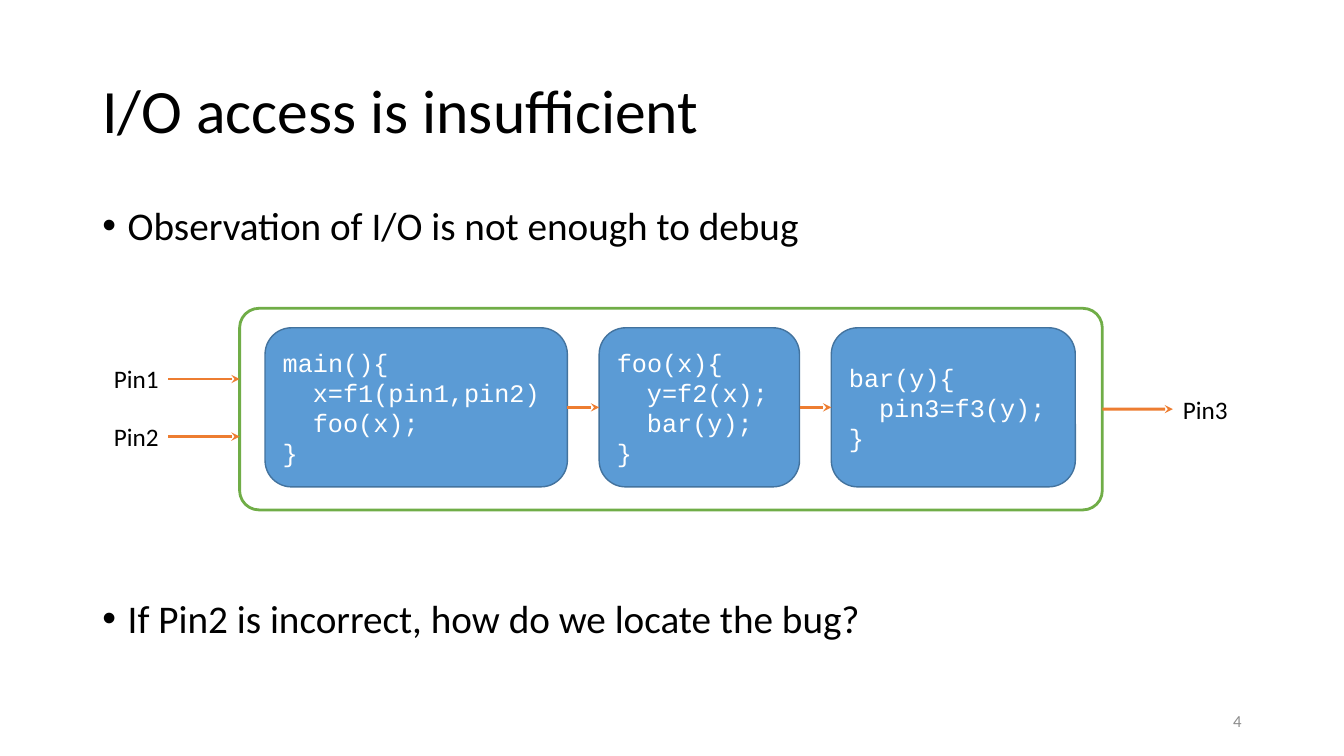
"""Build the slide showing why I/O access alone is insufficient for debugging."""
import dataclasses

import lxml.etree
import pptx
import pptx.dml.color
import pptx.enum.shapes
import pptx.enum.text
import pptx.oxml.ns
import pptx.util

Cm, Pt = pptx.util.Cm, pptx.util.Pt
RGB = pptx.dml.color.RGBColor.from_string
ALIGN = pptx.enum.text.PP_ALIGN
ANCHOR = pptx.enum.text.MSO_ANCHOR
ROUNDED = pptx.enum.shapes.MSO_SHAPE.ROUNDED_RECTANGLE
STRAIGHT = pptx.enum.shapes.MSO_CONNECTOR.STRAIGHT


@dataclasses.dataclass(frozen=True)
class Theme:
    ink: str = "000000"
    muted: str = "8C8C8C"
    code_ink: str = "FFFFFF"
    block: str = "5B9BD5"
    block_edge: str = "43739E"
    device_edge: str = "70AD47"
    signal: str = "ED7D31"
    body_font: str = "Calibri"
    code_font: str = "Courier New"
    title_size: int = 44
    bullet_size: int = 28
    label_size: int = 18
    number_size: int = 12


theme = Theme()


def write(shape, lines, size=theme.label_size, color=theme.ink, font=theme.body_font,
          align=ALIGN.LEFT, anchor=ANCHOR.MIDDLE, spacing=1.0, before=(), bullet=False, code=False):
    frame = shape.text_frame
    frame.word_wrap = True
    frame.vertical_anchor = anchor
    for index, line in enumerate(lines):
        paragraph = frame.paragraphs[0] if index == 0 else frame.add_paragraph()
        paragraph.alignment = align
        paragraph.line_spacing = spacing
        if before:
            paragraph.space_before = Pt(before[index])
        properties = paragraph._p.get_or_add_pPr()
        if bullet:
            properties.set("marL", str(Cm(0.64)))
            properties.set("indent", str(-Cm(0.64)))
            lxml.etree.SubElement(properties, pptx.oxml.ns.qn("a:buFont"), typeface="Arial")
            lxml.etree.SubElement(properties, pptx.oxml.ns.qn("a:buChar"), char="•")
        if code and 0 < index < len(lines) - 1:
            properties.set("marL", str(Cm(0.76)))
        run = paragraph.add_run()
        run.text = line
        run.font.size = Pt(size)
        run.font.name = font
        run.font.color.rgb = RGB(color)


def draw_arrow(start, end, source=None, target=None):
    arrow = slide.shapes.add_connector(STRAIGHT, *map(Cm, start + end))
    if source is not None:
        arrow.begin_connect(source, 3)
    if target is not None:
        arrow.end_connect(target, 1)
    arrow.line.color.rgb = RGB(theme.signal)
    arrow.line.width = Pt(2)
    lxml.etree.SubElement(arrow.line._get_or_add_ln(), pptx.oxml.ns.qn("a:tailEnd"), type="stealth")
    lxml.etree.SubElement(arrow._element.spPr, pptx.oxml.ns.qn("a:effectLst"))


presentation = pptx.Presentation()
presentation.slide_width = Cm(33.87)
presentation.slide_height = Cm(19.05)
slide = presentation.slides.add_slide(presentation.slide_layouts[6])

title = slide.shapes.add_textbox(Cm(2.33), Cm(1.02), Cm(29.21), Cm(3.68))
write(title, ["I/O access is insufficient"], size=theme.title_size, spacing=0.9)

points = slide.shapes.add_textbox(Cm(2.33), Cm(5.08), Cm(29.21), Cm(12.09))
write(points,
      ["Observation of I/O is not enough to debug", "If Pin2 is incorrect, how do we locate the bug?"],
      size=theme.bullet_size, anchor=ANCHOR.TOP, spacing=0.9, before=(10, 250.5), bullet=True)

page_number = slide.shapes.add_textbox(Cm(23.92), Cm(17.65), Cm(7.62), Cm(1.02))
write(page_number, ["4"], size=theme.number_size, color=theme.muted, align=ALIGN.RIGHT)

device_left, device_top, device_width, device_height = 6.04, 7.77, 21.74, 5.08
device = slide.shapes.add_shape(ROUNDED, Cm(device_left), Cm(device_top),
                                Cm(device_width), Cm(device_height))
device.shadow.inherit = False
device.adjustments[0] = 0.096
device.fill.background()
device.line.color.rgb = RGB(theme.device_edge)
device.line.width = Pt(2)

functions = [
    (7.62, ["main(){", "x=f1(pin1,pin2)", "foo(x);", "}"]),
    (5.05, ["foo(x){", "y=f2(x);", "bar(y);", "}"]),
    (6.15, ["bar(y){", "pin3=f3(y);", "}"]),
]
block_left, block_top, block_height, block_gap = 6.68, 8.26, 4.01, 0.8
block_middle = block_top + block_height / 2
caller = None
for block_width, code_lines in functions:
    block = slide.shapes.add_shape(ROUNDED, Cm(block_left), Cm(block_top),
                                   Cm(block_width), Cm(block_height))
    block.shadow.inherit = False
    block.fill.solid()
    block.fill.fore_color.rgb = RGB(theme.block)
    block.line.color.rgb = RGB(theme.block_edge)
    block.line.width = Pt(1)
    write(block, code_lines, color=theme.code_ink, font=theme.code_font, code=True)
    if caller is not None:
        draw_arrow((block_left - block_gap, block_middle), (block_left, block_middle), caller, block)
    caller = block
    block_left += block_width + block_gap

device_middle = device_top + device_height / 2
device_right = device_left + device_width
pin_height = 1.02
for pin_name, pin_left, pin_middle in [("Pin1", 2.62, 9.55), ("Pin2", 2.62, 11),
                                       ("Pin3", 29.56, device_middle)]:
    pin = slide.shapes.add_textbox(Cm(pin_left), Cm(pin_middle - pin_height / 2),
                                   Cm(1.96), Cm(pin_height))
    write(pin, [pin_name], anchor=ANCHOR.TOP)
    if pin_left < device_left:
        draw_arrow((4.24, pin_middle), (device_left, pin_middle))
    else:
        draw_arrow((device_right, pin_middle), (pin_left, pin_middle), device, pin)

presentation.save("out.pptx")
